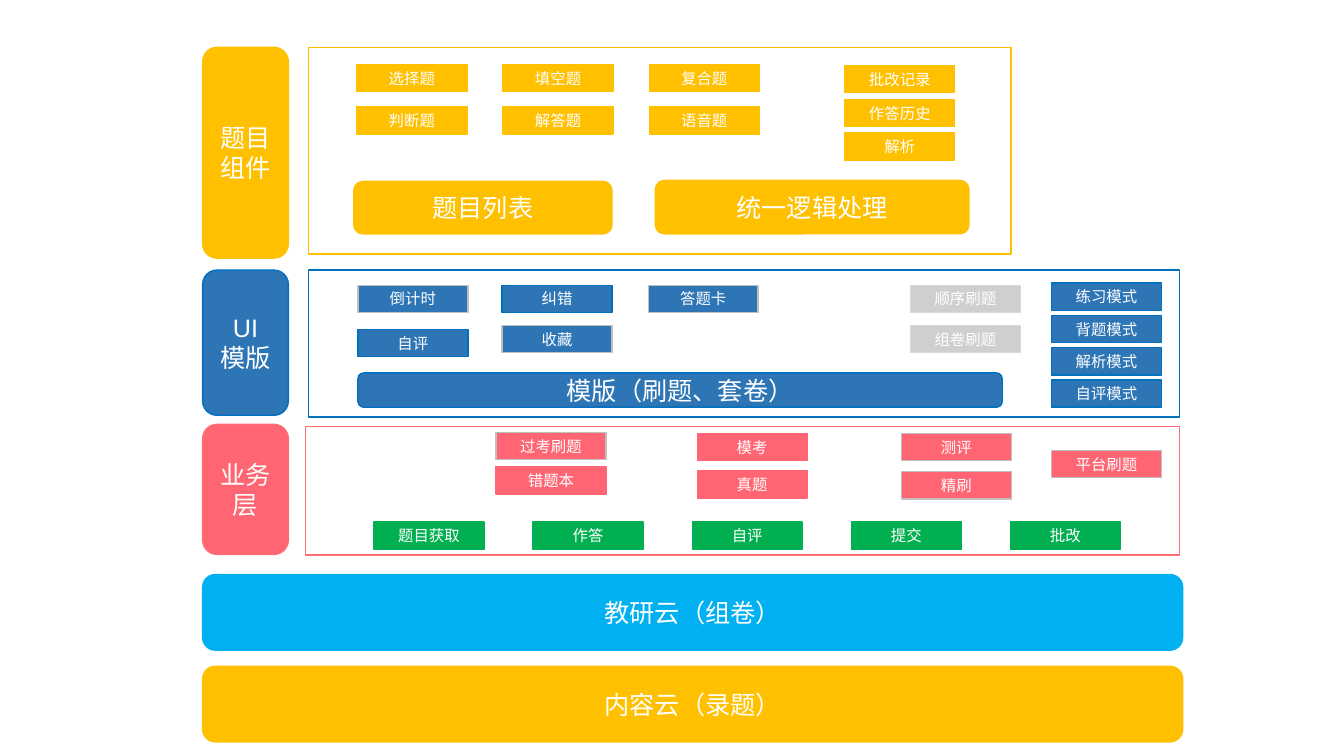
import pptx
import pptx.util
import pptx.dml.color
import pptx.enum.shapes
import pptx.enum.text

WIDE, HIGH = pptx.util.Inches(13.33), pptx.util.Inches(7.5)
COL, ROW = WIDE / 133.3, HIGH / 75
KIND = pptx.enum.shapes.MSO_SHAPE
HUES = {
    "gold": "FFC000", "blue": "2E75B6", "navy": "0070C0", "rose": "FF6572",
    "coral": "FF6E73", "green": "00B050", "sky": "00B0F0", "ash": "D0CECE",
    "mist": "D9D9D9", "gray": "BFBFBF", "white": "FFFFFF",
}
PALE = {"倒计时", "收藏", "答题卡", "过考刷题", "测评", "精刷", "平台刷题"}


def paint(name):
    return pptx.dml.color.RGBColor.from_string(HUES[name])


def block(page, kind, box, fill, edge, width=1):
    x, y, w, h = box
    shape = page.shapes.add_shape(
        kind, round(x * COL), round(y * ROW), round(w * COL), round(h * ROW))
    shape.shadow.inherit = False
    if fill:
        shape.fill.solid()
        shape.fill.fore_color.rgb = paint(fill)
    else:
        shape.fill.background()
    shape.line.color.rgb = paint(edge)
    shape.line.width = pptx.util.Pt(width)
    return shape


def write(shape, text, size, face):
    frame = shape.text_frame
    frame.word_wrap = True
    frame.vertical_anchor = pptx.enum.text.MSO_ANCHOR.MIDDLE
    frame.text = text
    for para in frame.paragraphs:
        para.alignment = pptx.enum.text.PP_ALIGN.CENTER
        para.font.size = pptx.util.Pt(size)
        para.font.name = face
        para.font.color.rgb = paint("white")


def panel(page, box, text, fill, edge):
    write(block(page, KIND.ROUNDED_RECTANGLE, box, fill, edge), text, 18, "Arial")


def outline(page, box, edge):
    block(page, KIND.RECTANGLE, box, None, edge, 1.25)


def tags(page, left, top, names, fill, edge, right=0, down=0):
    for i, name in enumerate(names):
        box = (left + i * right, top + i * down, 10.9, 2.7)
        rim = "gray" if name in PALE else edge
        write(block(page, KIND.RECTANGLE, box, fill, rim), name, 11, "Roboto")


def topics(page, box):
    x, y, w, h = box
    panel(page, (x, y, 8.5, h), "题目组件", "gold", "gold")
    outline(page, (x + 10.5, y, w - 10.5, h - 0.4), "gold")
    rows = [["选择题", "填空题", "复合题"], ["判断题", "解答题", "语音题"]]
    for i, names in enumerate(rows):
        tags(page, x + 15.3, y + 1.7 + i * 4.2, names, "gold", "gold", right=14.5)
    tags(page, x + 63.7, y + 1.8, ["批改记录", "作答历史", "解析"],
         "gold", "gold", down=3.35)
    panel(page, (x + 15, y + 13.3, 25.6, 5.2), "题目列表", "gold", "gold")
    panel(page, (x + 44.9, y + 13.2, 31.1, 5.3), "统一逻辑处理", "gold", "gold")


def layouts(page, box):
    x, y, w, h = box
    panel(page, (x, y, 8.5, h - 0.2), "UI\n模版", "blue", "navy")
    outline(page, (x + 10.5, y, w - 10.5, h), "navy")
    stacks = [
        (15.4, 1.5, 4.4, ["倒计时", "自评"], "blue", "navy"),
        (29.7, 1.5, 4, ["纠错", "收藏"], "blue", "navy"),
        (44.2, 1.5, 0, ["答题卡"], "blue", "navy"),
        (70.2, 1.5, 4, ["顺序刷题", "组卷刷题"], "ash", "mist"),
        (84.2, 1.3, 3.2, ["练习模式", "背题模式", "解析模式", "自评模式"],
         "blue", "navy"),
    ]
    for left, top, step, names, fill, edge in stacks:
        tags(page, x + left, y + top, names, fill, edge, down=step)
    panel(page, (x + 15.4, y + 10.2, 63.9, 3.4), "模版（刷题、套卷）", "blue", "navy")


def business(page, box):
    x, y, w, h = box
    panel(page, (x, y, 8.5, h - 0.1), "业务层", "rose", "coral")
    outline(page, (x + 10.2, y + 0.2, w - 10.2, h - 0.2), "coral")
    stacks = [
        (29.1, 0.8, 3.4, ["过考刷题", "错题本"]),
        (49.05, 0.9, 3.7, ["模考", "真题"]),
        (69.3, 0.9, 3.8, ["测评", "精刷"]),
        (84.2, 2.6, 0, ["平台刷题"]),
    ]
    for left, top, step, names in stacks:
        tags(page, x + left, y + top, names, "rose", "rose", down=step)
    tags(page, x + 17, y + 9.7, ["题目获取", "作答", "自评", "提交", "批改"],
         "green", "green", right=15.78)


def clouds(page, box):
    x, y, w, h = box
    bars = [("教研云（组卷）", "sky"), ("内容云（录题）", "gold")]
    for i, (text, hue) in enumerate(bars):
        panel(page, (x, y + i * (h - 7.5), w, 7.5), text, hue, hue)


def main():
    deck = pptx.Presentation()
    deck.slide_width, deck.slide_height = WIDE, HIGH
    page = deck.slides.add_slide(deck.slide_layouts[6])
    topics(page, (20.1, 4.7, 80.2, 20.9))
    layouts(page, (20.1, 26.8, 96.9, 14.6))
    business(page, (20.1, 42.1, 96.9, 13))
    clouds(page, (20.1, 57, 97.2, 16.6))
    deck.save("out.pptx")


if __name__ == "__main__":
    main()
